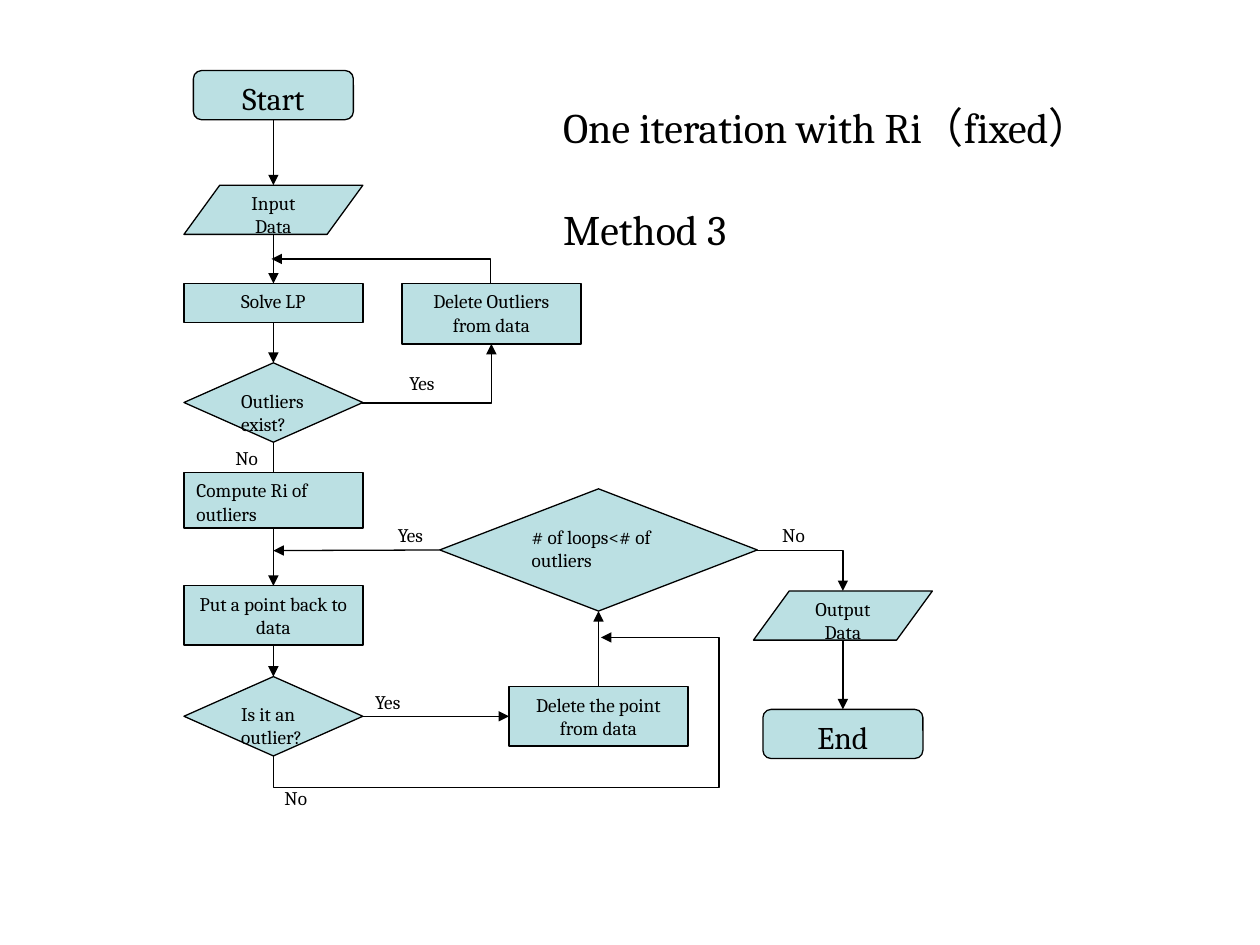
from dataclasses import dataclass
from typing import Optional

import lxml.etree
import pptx
import pptx.dml.color
import pptx.enum.shapes
import pptx.enum.text
import pptx.oxml.ns
import pptx.util

Inches = pptx.util.Inches
Pt = pptx.util.Pt
qn = pptx.oxml.ns.qn
SHAPE = pptx.enum.shapes.MSO_SHAPE
CONNECTOR = pptx.enum.shapes.MSO_CONNECTOR
ALIGN = pptx.enum.text.PP_ALIGN

COLORS = {"fill": "BBE0E3", "ink": "000000"}
FONT = "Cambria"
TOP, LEFT, BOTTOM, RIGHT = range(4)

PROCESS = SHAPE.FLOWCHART_PROCESS
DECISION = SHAPE.FLOWCHART_DECISION
DATA = SHAPE.FLOWCHART_DATA
TERMINAL = SHAPE.ROUNDED_RECTANGLE

BOX_W = 1.42
TERMINAL_W = 1.27
MAIN_X = 2.17  # centre of the main column
OUTPUT_X = 6.69  # centre of the output column


@dataclass
class Node:
    kind: SHAPE
    text: str
    center_x: float
    top: float
    height: float
    width: float = BOX_W
    size: int = 11
    align: ALIGN = ALIGN.CENTER


@dataclass
class Arrow:
    start: tuple[float, float]
    end: tuple[float, float]
    source: Optional[tuple[str, int]] = None  # node name, side
    target: Optional[tuple[str, int]] = None


@dataclass
class Elbow:
    left: float
    top: float
    width: float
    height: float
    preset: str = "bentConnector2"
    rotation: int = 0
    flips: str = ""
    adjust: tuple[int, ...] = ()


@dataclass
class Label:
    text: str
    left: float
    top: float


NODES = {
    "start": Node(TERMINAL, "Start", MAIN_X, 0.56, 0.39, TERMINAL_W, 18),
    "input": Node(DATA, "Input Data", MAIN_X, 1.47, 0.39),
    "solve": Node(PROCESS, "Solve LP", MAIN_X, 2.25, 0.31),
    "exist": Node(DECISION, "Outliers exist?", MAIN_X, 2.88, 0.63, align=ALIGN.LEFT),
    "delete outliers": Node(PROCESS, "Delete Outliers from data", 3.9, 2.25, 0.48),
    "put back": Node(PROCESS, "Put a point back to data", MAIN_X, 4.65, 0.47),
    "is outlier": Node(DECISION, "Is it an outlier?", MAIN_X, 5.37, 0.63, align=ALIGN.LEFT),
    "delete point": Node(PROCESS, "Delete the point from data", 4.75, 5.45, 0.47),
    "loops": Node(DECISION, "# of loops<# of outliers", 4.75, 3.88, 0.97, 2.52, align=ALIGN.LEFT),
    "output": Node(DATA, "Output Data", OUTPUT_X, 4.69, 0.39),
    "end": Node(TERMINAL, "End", OUTPUT_X, 5.63, 0.39, TERMINAL_W, 18),
}
# Covers the arrow that runs down behind it
COMPUTE = Node(PROCESS, "Compute Ri of outliers", MAIN_X, 3.75, 0.44, align=ALIGN.LEFT)

ARROWS = [
    Arrow((MAIN_X, 0.95), (MAIN_X, 1.47), source=("start", BOTTOM)),
    Arrow((MAIN_X, 1.86), (MAIN_X, 2.25), target=("solve", TOP)),
    Arrow((MAIN_X, 2.56), (MAIN_X, 2.88), ("solve", BOTTOM), ("exist", TOP)),
    Arrow((MAIN_X, 3.51), (MAIN_X, 4.65), ("exist", BOTTOM), ("put back", TOP)),
    Arrow((MAIN_X, 5.12), (MAIN_X, 5.37), ("put back", BOTTOM), ("is outlier", TOP)),
    Arrow((2.88, 5.68), (4.04, 5.68), ("is outlier", RIGHT), ("delete point", LEFT)),
    Arrow((4.75, 5.45), (4.75, 4.85), ("delete point", TOP), ("loops", BOTTOM)),
    Arrow((3.49, 4.37), (MAIN_X, 4.37), source=("loops", LEFT)),
    Arrow((OUTPUT_X, 5.08), (OUTPUT_X, 5.63), target=("end", TOP)),
]

ELBOWS = [
    Elbow(2.87, 2.73, 1.03, 0.47, flips="V"),
    Elbow(2.93, 1.28, 0.19, 1.74, rotation=270, flips="V"),
    Elbow(6.01, 4.37, 0.68, 0.32),
    Elbow(3, 4.23, 0.94, 2.6, "bentConnector4", 90, "HV", (-26700, 136000)),
]

LABELS = [
    Label("Yes", 3.15, 2.9),
    Label("No", 1.77, 3.49),
    Label("Yes", 3.06, 4.1),
    Label("No", 6.11, 4.1),
    Label("Yes", 2.88, 5.43),
    Label("No", 2.16, 6.19),
]


def rgb(name: str) -> pptx.dml.color.RGBColor:
    return pptx.dml.color.RGBColor.from_string(COLORS[name])


def style_line(line) -> None:
    line.color.rgb = rgb("ink")
    line.width = Pt(0.75)


def write(tf, lines: list[str], size: int, align: ALIGN = ALIGN.LEFT, gap: float = 0) -> None:
    tf.word_wrap = True
    tf.vertical_anchor = pptx.enum.text.MSO_ANCHOR.TOP
    for i, line in enumerate(lines):
        p = tf.add_paragraph() if i else tf.paragraphs[0]
        p.text = line
        p.alignment = align
        p.font.name = FONT
        p.font.size = Pt(size)
        p.font.color.rgb = rgb("ink")
        if i:
            p.space_before = Pt(gap)


def add_node(s, node: Node):
    sp = s.shapes.add_shape(
        node.kind, Inches(node.center_x - node.width / 2), Inches(node.top),
        Inches(node.width), Inches(node.height))
    sp.shadow.inherit = False
    sp.fill.solid()
    sp.fill.fore_color.rgb = rgb("fill")
    style_line(sp.line)
    write(sp.text_frame, [node.text], node.size, node.align)
    return sp


def add_text(s, left: float, top: float, width: float, height: float,
             lines: list[str], size: int, gap: float = 0) -> None:
    sp = s.shapes.add_textbox(Inches(left), Inches(top), Inches(width), Inches(height))
    write(sp.text_frame, lines, size, gap=gap)
    sp.text_frame.auto_size = pptx.enum.text.MSO_AUTO_SIZE.SHAPE_TO_FIT_TEXT


def add_connector(s, kind: CONNECTOR, start: tuple[float, float], end: tuple[float, float]):
    cxn = s.shapes.add_connector(kind, *map(Inches, start + end))
    style_line(cxn.line)
    lxml.etree.SubElement(cxn.line._get_or_add_ln(), qn("a:tailEnd"), type="triangle")
    lxml.etree.SubElement(cxn._element.spPr, qn("a:effectLst"))
    return cxn


def add_arrow(s, arrow: Arrow, shapes: dict) -> None:
    cxn = add_connector(s, CONNECTOR.STRAIGHT, arrow.start, arrow.end)
    if arrow.source:
        cxn.begin_connect(shapes[arrow.source[0]], arrow.source[1])
    if arrow.target:
        cxn.end_connect(shapes[arrow.target[0]], arrow.target[1])


def add_elbow(s, elbow: Elbow) -> None:
    cxn = add_connector(s, CONNECTOR.ELBOW, (elbow.left, elbow.top),
                        (elbow.left + elbow.width, elbow.top + elbow.height))
    xfrm = cxn._element.spPr.find(qn("a:xfrm"))
    xfrm.set("rot", str(elbow.rotation * 60000))
    for axis in elbow.flips:
        xfrm.set(f"flip{axis}", "1")
    geom = cxn._element.spPr.find(qn("a:prstGeom"))
    geom.set("prst", elbow.preset)
    for i, value in enumerate(elbow.adjust, 1):
        lxml.etree.SubElement(geom.find(qn("a:avLst")), qn("a:gd"),
                              name=f"adj{i}", fmla=f"val {value}")


def main() -> None:
    prs = pptx.Presentation()
    prs.slide_width, prs.slide_height = Inches(10), Inches(7.5)
    s = prs.slides.add_slide(prs.slide_layouts[6])

    # Flowchart steps
    shapes = {name: add_node(s, node) for name, node in NODES.items()}

    # Arrows between the steps
    for arrow in ARROWS:
        add_arrow(s, arrow, shapes)
    for elbow in ELBOWS:
        add_elbow(s, elbow)
    add_node(s, COMPUTE)

    # Branch labels and title
    for label in LABELS:
        add_text(s, label.left, label.top, 0.47, 0.29, [label.text], 11)
    add_text(s, 4.37, 0.76, 4.65, 1.31, ["One iteration with Ri（fixed）", "Method 3"], 24, gap=29)

    prs.save("out.pptx")


if __name__ == "__main__":
    main()
